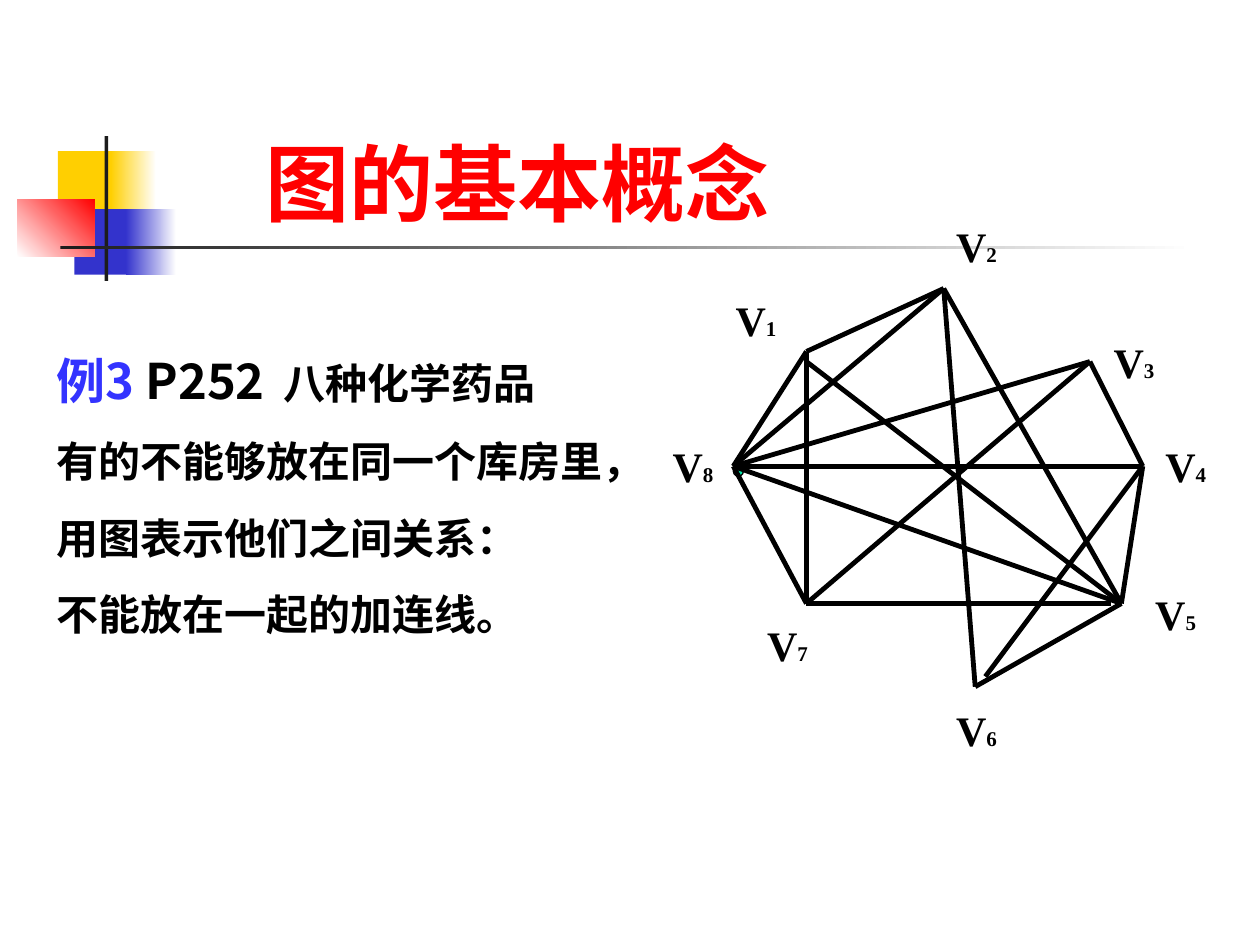
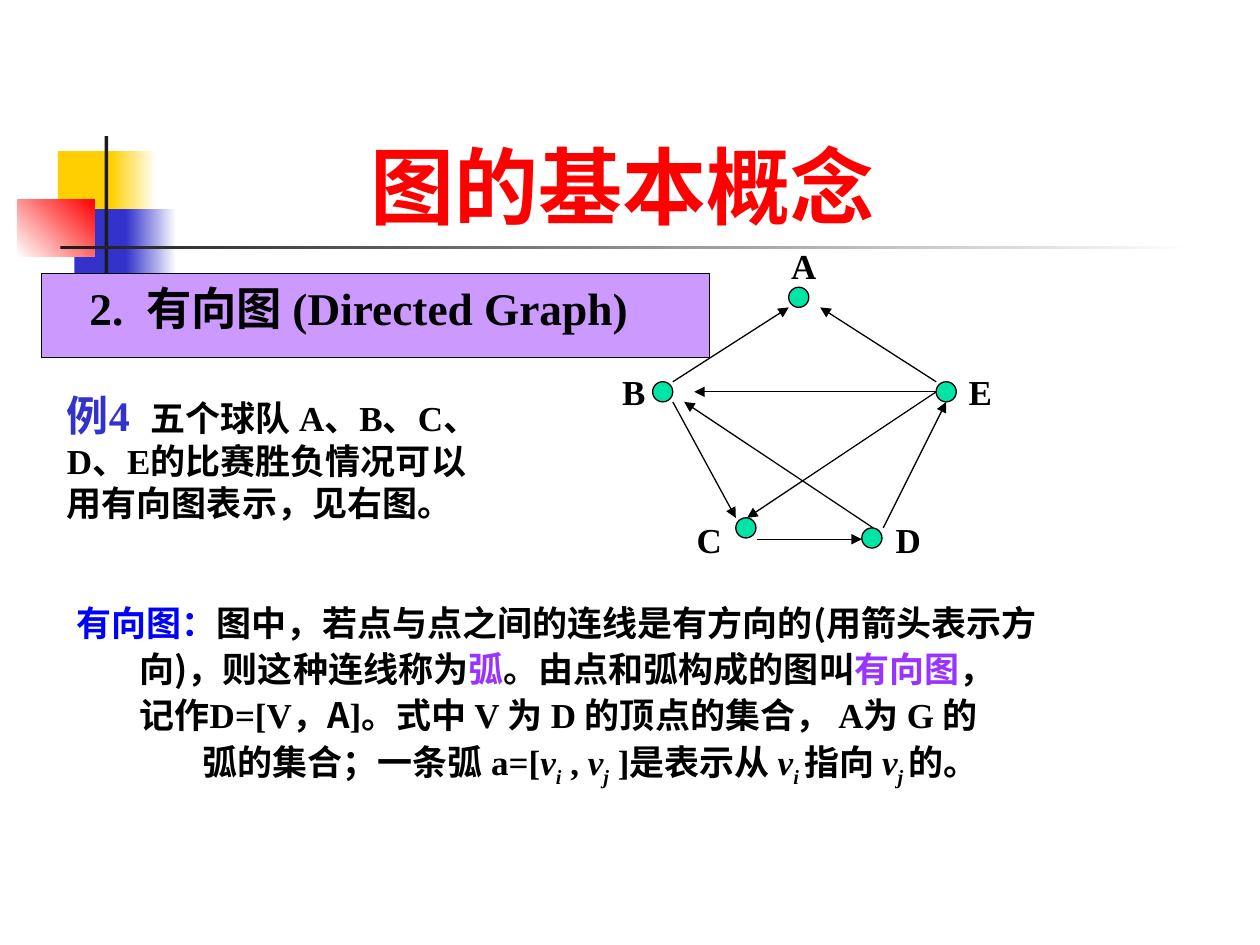
from dataclasses import dataclass, replace
from typing import NamedTuple

from lxml import etree
from pptx import Presentation
from pptx.dml.color import RGBColor
from pptx.enum.shapes import MSO_CONNECTOR, MSO_SHAPE
from pptx.enum.text import MSO_ANCHOR, PP_ALIGN
from pptx.oxml.ns import qn
from pptx.util import Inches, Pt

RECT, OVAL = MSO_SHAPE.RECTANGLE, MSO_SHAPE.OVAL
STRAIGHT = MSO_CONNECTOR.STRAIGHT
TOP, BOTTOM = MSO_ANCHOR.TOP, MSO_ANCHOR.BOTTOM
LEFT, JUSTIFY = PP_ALIGN.LEFT, PP_ALIGN.JUSTIFY

COLORS = {
    "black": "000000", "white": "FFFFFF", "ink": "1C1C1C", "red": "FF0000",
    "yellow": "FFCF01", "navy": "3333CC", "example": "3333FF",
    "term": "0000FF", "violet": "9933FF", "lilac": "CC99FF", "node": "00E4A8",
}
SERIF, SANS, TITLE_FONT = "Times New Roman", "Noto Sans CJK SC", "Karla"
TITLE = "图的基本概念"


class Box(NamedTuple):
    x: float
    y: float
    w: float
    h: float


class Band(NamedTuple):
    box: Box
    start: str
    end: str = ""
    angle: int = 0


class Edge(NamedTuple):
    """Line between two vertices, its start shifted by dx, dy."""
    a: int
    b: int
    dx: float = 0
    dy: float = 0


@dataclass
class Run:
    text: str
    size: float = 20
    color: str = "black"
    font: str = SERIF
    italic: bool = False
    sub: bool = False


@dataclass
class Para:
    runs: list[Run]
    margin: float = 0
    indent: float = 0
    spacing: float = 1
    before: float = 0
    align: int = LEFT


BANDS = [
    Band(Box(0.46, 1.2, 0.48, 0.52), "yellow"),
    Band(Box(0.88, 1.2, 0.36, 0.52), "yellow", "white"),
    Band(Box(0.59, 1.66, 0.46, 0.52), "navy"),
    Band(Box(1, 1.66, 0.4, 0.52), "navy", "white"),
    Band(Box(0.14, 1.58, 0.61, 0.46), "white", "red", 45),
    Band(Box(0.83, 1.08, 0.03, 1.15), "ink"),
    Band(Box(0.48, 1.95, 9, 0.03), "ink", "white"),
]

VERTICES = {1: (6.4, 2.79), 2: (7.49, 2.29), 3: (8.65, 2.87), 4: (9.07, 3.7),
            5: (8.9, 4.79), 6: (7.74, 5.45), 7: (6.4, 4.79), 8: (5.82, 3.7)}
VERTEX_LABELS = {1: (5.74, 2.29), 2: (7.49, 1.7), 3: (8.74, 2.62), 4: (9.15, 3.45),
                 5: (9.07, 4.62), 6: (7.49, 5.54), 7: (5.99, 4.87), 8: (5.24, 3.45)}
EDGES = [
    Edge(8, 1), Edge(8, 2), Edge(8, 3), Edge(8, 4), Edge(8, 5), Edge(8, 7),
    Edge(1, 2), Edge(1, 7), Edge(1, 5, dy=0.08), Edge(2, 5), Edge(2, 6),
    Edge(3, 4), Edge(3, 7), Edge(4, 5), Edge(5, 6),
    Edge(5, 7, dx=-0.08), Edge(6, 4, dx=0.08, dy=-0.08),
]

NODE_SIZE = 0.16
TEAM_NODES = [(5.18, 3.03), (6.26, 2.28), (7.43, 3.03), (5.84, 4.11), (6.84, 4.19)]
TEAM_LABELS = {"A": (6.18, 1.86), "B": (4.84, 2.86), "C": (5.43, 4.03),
               "D": (7.01, 4.03), "E": (7.59, 2.86)}
ARCS = [
    ((6.93, 4.19), (5.43, 3.19)), ((7.43, 3.11), (5.93, 4.11)),
    ((7.43, 3.11), (5.51, 3.11)), ((5.34, 3.19), (5.84, 4.11)),
    ((5.34, 3.03), (6.26, 2.44)), ((7.43, 3.03), (6.51, 2.44)),
    ((6.01, 4.28), (6.84, 4.28)), ((7.01, 4.19), (7.51, 3.19)),
]


def rgb(name: str) -> RGBColor:
    return RGBColor.from_string(COLORS[name])


def place(sp, box: Box) -> None:
    sp.left, sp.top, sp.width, sp.height = map(Inches, box)


def add_run(p, run: Run) -> None:
    r = p.add_run()
    r.text = run.text
    f = r.font
    f.name, f.size, f.bold, f.italic = run.font, Pt(run.size), True, run.italic
    f.color.rgb = rgb(run.color)
    rPr = r._r.get_or_add_rPr()
    etree.SubElement(rPr, qn("a:ea")).set("typeface", SANS)
    if run.sub:
        rPr.set("baseline", "-25000")


def write(sp, paras: list[Para], anchor=TOP) -> None:
    tf = sp.text_frame
    tf.word_wrap = True
    tf.vertical_anchor = anchor
    for i, para in enumerate(paras):
        p = tf.paragraphs[0] if i == 0 else tf.add_paragraph()
        p.alignment, p.line_spacing = para.align, para.spacing
        p.space_before = Pt(para.before)
        pPr = p._p.get_or_add_pPr()
        pPr.set("marL", str(Inches(para.margin)))
        pPr.set("indent", str(Inches(para.indent)))
        etree.SubElement(pPr, qn("a:buNone"))
        for run in para.runs:
            add_run(p, run)


def add_text(slide, box: Box, paras: list[Para]) -> None:
    write(slide.shapes.add_textbox(*map(Inches, box)), paras)


def add_shape(slide, kind, box: Box, fill: str, outline: bool = True):
    sp = slide.shapes.add_shape(kind, *map(Inches, box))
    sp.shadow.inherit = False
    sp.fill.solid()
    sp.fill.fore_color.rgb = rgb(fill)
    if outline:
        sp.line.color.rgb, sp.line.width = rgb("black"), Pt(0.75)
    else:
        sp.line.fill.background()
    return sp


def add_line(slide, start, end, width: float, arrow: bool = False) -> None:
    c = slide.shapes.add_connector(STRAIGHT, *map(Inches, (*start, *end)))
    c.line.color.rgb, c.line.width = rgb("black"), Pt(width)
    if arrow:
        etree.SubElement(c.line._get_or_add_ln(), qn("a:tailEnd")).set("type", "triangle")
    etree.SubElement(c._element.spPr, qn("a:effectLst"))


def add_bands(slide) -> None:
    """Draw the shared bands and move them to the slide's layout."""
    tree = slide.slide_layout.shapes._spTree
    for i, band in enumerate(BANDS):
        sp = add_shape(slide, RECT, band.box, band.start, outline=False)
        if band.end:
            sp.fill.gradient()
            sp.fill.gradient_angle = band.angle
            for stop, name in zip(sp.fill.gradient_stops, (band.start, band.end)):
                stop.color.rgb = rgb(name)
        sp._element.nvSpPr.cNvPr.set("id", str(100 + i))
        tree.insert(2 + i, sp._element)


def set_title(slide, box: Box, font: str, anchor) -> None:
    sp = slide.shapes.title
    place(sp, box)
    write(sp, [Para([Run(TITLE, 48, "red", font)])], anchor)


def set_body(slide, box: Box, paras: list[Para]) -> None:
    sp = slide.placeholders[1]
    place(sp, box)
    write(sp, paras)


def chemicals_slide(slide) -> None:
    set_title(slide, Box(2.01, 0.99, 6.5, 0.9), TITLE_FONT, TOP)
    lines = [
        [Run("例3 ", 28, "example", SANS), Run("P252", 28, font=SANS),
         Run("  八种化学药品", 24, font=SANS)],
        *([Run(text, 24, font=SANS)] for text in (
            "有的不能够放在同一个库房里，", "用图表示他们之间关系：", "不能放在一起的加连线。")),
    ]
    set_body(slide, Box(0.35, 2.73, 5.04, 2.39), [Para(runs, before=15) for runs in lines])
    add_shape(slide, OVAL, Box(*VERTICES[8], 0.08, 0.08), "node")
    for edge in EDGES:
        x, y = VERTICES[edge.a]
        add_line(slide, (x + edge.dx, y + edge.dy), VERTICES[edge.b], 2.75)
    for number, (x, y) in VERTEX_LABELS.items():
        add_text(slide, Box(x, y, 0.58, 0.5),
                 [Para([Run("V", 24), Run(str(number), 12)], before=7.5)])


def definition() -> list[Para]:
    base = Para([], margin=0.5, spacing=1.1, align=JUSTIFY)

    def v(index: str) -> list[Run]:
        return [Run("v", italic=True), Run(index, italic=True, sub=True)]

    return [
        replace(base, indent=-0.5, runs=[
            Run("有向图：", color="term"), Run("图中，"),
            Run("若点与点之间的连线是有方向的(用箭头表示方", font=SANS)]),
        replace(base, runs=[
            Run("向)，则这种连线称为", font=SANS), Run("弧", color="violet", font=SANS),
            Run("。由点和弧构成的图叫", font=SANS),
            Run("有向图", color="violet", font=SANS), Run("，", font=SANS)]),
        replace(base, runs=[
            Run("记作", font=SANS), Run("D=[V"), Run("，A", font=SANS), Run("]"),
            Run("。", font=SANS), Run("式中 V 为 D 的顶点的集合， A为 G 的")]),
        replace(base, margin=1, runs=[
            Run("弧的集合；一条弧 ", font=SANS), Run("a=["), *v("i"), Run(" , "), *v("j"),
            Run(" ]是表示从 "), *v("i "), Run("指向 "), *v("j "), Run("的。")]),
    ]


def teams_slide(slide) -> None:
    set_title(slide, Box(2.84, 0.83, 4.75, 1.09), SERIF, BOTTOM)
    heading = add_shape(slide, RECT, Box(0.33, 2.17, 5.3, 0.67), "lilac")
    heading.text_frame.margin_left = Inches(0.38)
    heading.text_frame.margin_top = Inches(0.1)
    write(heading, [Para([Run("2.  有向图 (Directed Graph)", 25.9)], spacing=0.9)])

    lines = [
        [Run("例4  ", 24, "navy"), Run("五个球队 A、B、C、")],
        [Run("D、E的比赛胜负情况可以")],
        [Run("用有向图表示，见右图。")],
    ]
    set_body(slide, Box(0.43, 3.04, 3.58, 1.33),
             [Para(runs, 0.5, -0.5, align=JUSTIFY) for runs in lines])

    for x, y in TEAM_NODES:
        add_shape(slide, OVAL, Box(x, y, NODE_SIZE, NODE_SIZE), "node")
    for start, end in ARCS:
        add_line(slide, start, end, 0.75, arrow=True)
    for team, (x, y) in TEAM_LABELS.items():
        add_text(slide, Box(x, y, 0.67, 0.58), [Para([Run(team)], spacing=1.1)])
    add_text(slide, Box(0.51, 4.69, 8.33, 1.75), definition())


def main() -> None:
    prs = Presentation()
    prs.slide_width, prs.slide_height = Inches(10), Inches(7.5)
    layout = prs.slide_layouts[1]
    slides = [prs.slides.add_slide(layout) for _ in range(2)]
    add_bands(slides[0])
    chemicals_slide(slides[0])
    teams_slide(slides[1])
    prs.save("out.pptx")


if __name__ == "__main__":
    main()
